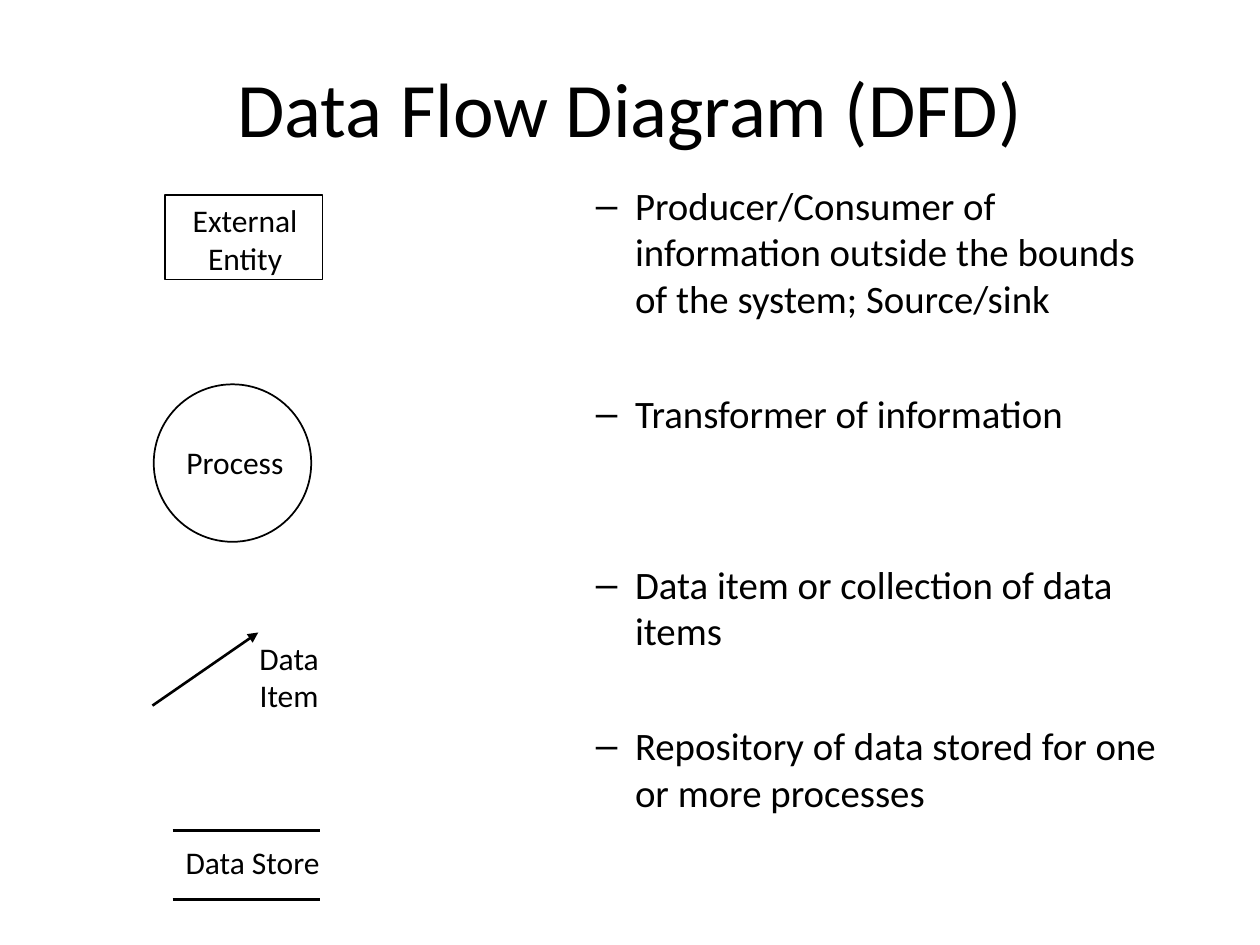
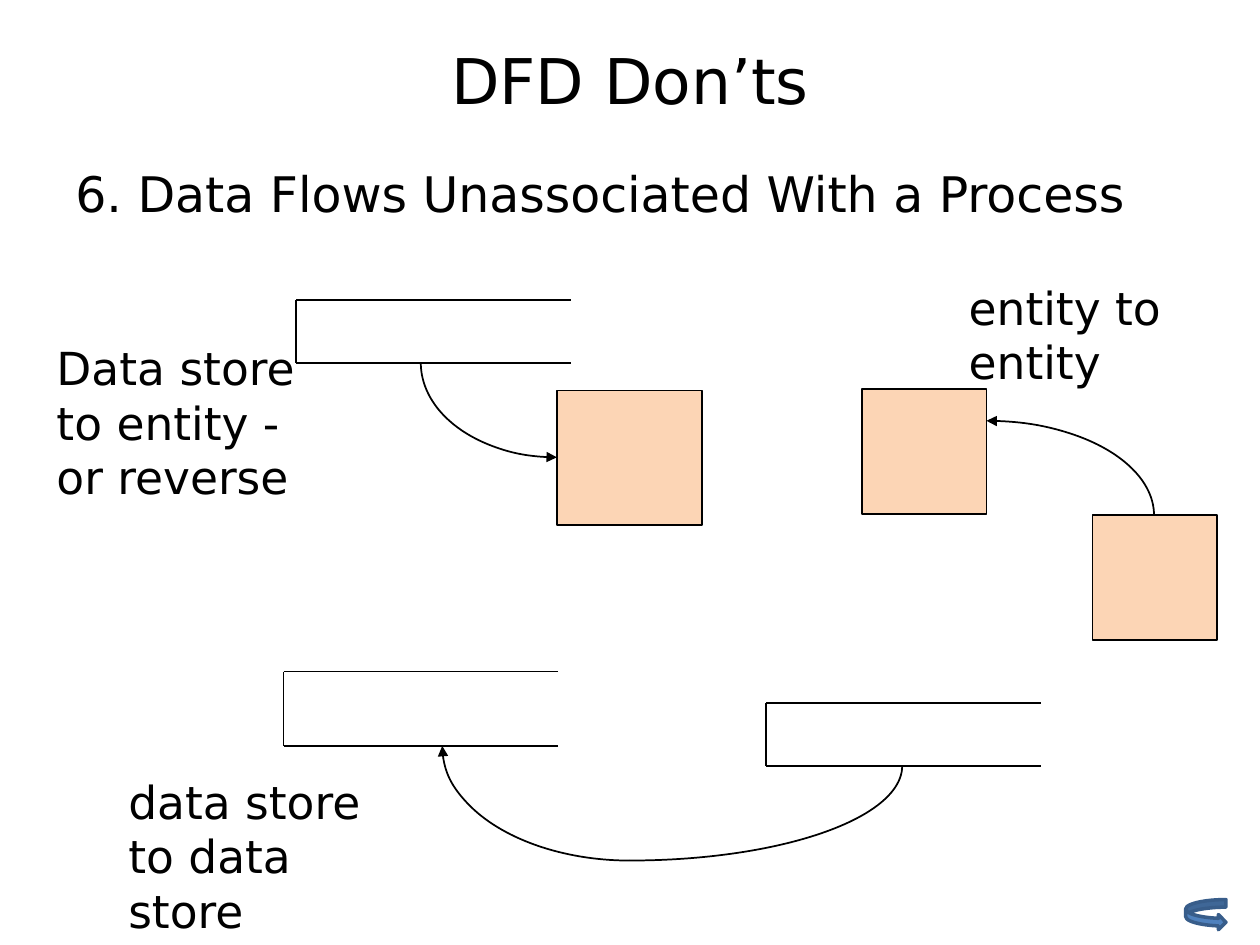
import pptx
import pptx.util
import pptx.dml.color
import pptx.enum.shapes
import pptx.enum.text
import pptx.oxml.ns
import lxml.etree

Inches = pptx.util.Inches
Pt = pptx.util.Pt
Shape = pptx.enum.shapes.MSO_SHAPE
Align = pptx.enum.text.PP_ALIGN
Anchor = pptx.enum.text.MSO_ANCHOR
qn = pptx.oxml.ns.qn

INK = "000000"
PEACH = "FCD5B5"


def color(code):
    return pptx.dml.color.RGBColor.from_string(code)


def add_tag(parent, tag, **attrs):
    return lxml.etree.SubElement(parent, qn(tag), **attrs)


class Deck:
    def __init__(self):
        self.file = pptx.Presentation()
        self.file.slide_width = Inches(10)
        self.file.slide_height = Inches(7.5)
        self.slide = None
        self.font = None

    def start(self, layout, font):
        self.slide = self.file.slides.add_slide(self.file.slide_layouts[layout])
        self.font = font

    def place(self, item, left, top, width, height):
        item.left, item.top = Inches(left), Inches(top)
        item.width, item.height = Inches(width), Inches(height)

    def style(self, para, size, align):
        para.alignment = align
        for run in para.runs:
            run.font.name = self.font
            run.font.size = Pt(size)
            run.font.color.rgb = color(INK)

    def title(self, text, size, *box):
        item = self.slide.shapes.title
        self.place(item, *box)
        frame = item.text_frame
        frame.text = text
        frame.vertical_anchor = Anchor.MIDDLE
        self.style(frame.paragraphs[0], size, Align.CENTER)

    def bullets(self, items, size, *box):
        body = self.slide.placeholders[1]
        self.place(body, *box)
        frame = body.text_frame
        frame.auto_size = pptx.enum.text.MSO_AUTO_SIZE.NONE
        frame.text = "\n".join(text for text, gap in items)
        for para, (text, gap) in zip(frame.paragraphs, items):
            para.level = 1
            props = para._p.get_or_add_pPr()
            props.set("marL", str(Inches(0.81)))
            props.set("indent", str(Inches(-0.31)))
            tint = add_tag(props, "a:buClr")
            add_tag(tint, "a:srgbClr", val=INK)
            add_tag(props, "a:buChar", char="–")
            para.space_before = Pt(gap)
            self.style(para, size, Align.LEFT)

    def text(self, text, size, *box, align=Align.LEFT, wrap=True):
        item = self.slide.shapes.add_textbox(*map(Inches, box))
        frame = item.text_frame
        frame.word_wrap = wrap
        frame.text = text
        for para in frame.paragraphs:
            self.style(para, size, align)

    def label(self, text, *box):
        self.text(text, 18, *box, align=Align.CENTER, wrap=False)

    def ends(self, line, head, tail):
        edge = line._get_or_add_ln()
        if head:
            add_tag(edge, "a:headEnd", type="triangle")
        if tail:
            add_tag(edge, "a:tailEnd", type="triangle")

    def shape(self, kind, *box, fill=None, ink=INK, weight=1):
        item = self.slide.shapes.add_shape(kind, *map(Inches, box))
        item.shadow.inherit = False
        if fill:
            item.fill.solid()
            item.fill.fore_color.rgb = color(fill)
        else:
            item.fill.background()
        item.line.color.rgb = color(ink)
        item.line.width = Pt(weight)
        return item

    def arc(self, x, y, wide, high, start, head=False, tail=False):
        item = self.shape(Shape.ARC, x - wide, y - high, 2 * wide, 2 * high)
        for i, angle in enumerate((start, (start + 90) % 360)):
            item.adjustments[i] = angle * 0.6
        self.ends(item.line, head, tail)

    def line(self, *points, weight=1, tail=False):
        kind = pptx.enum.shapes.MSO_CONNECTOR.STRAIGHT
        item = self.slide.shapes.add_connector(kind, *map(Inches, points))
        item.line.color.rgb = color(INK)
        item.line.width = Pt(weight)
        self.ends(item.line, False, tail)
        add_tag(item._element.spPr, "a:effectLst")

    def store(self, left, top, height):
        for y in (top, top + height):
            self.line(left + 2.18, y, left, y)
        self.line(left, top, left, top + height)


def symbols(deck):
    deck.start(1, "Calibri")
    deck.title("Data Flow Diagram (DFD)", 44, 0.5, 0.3, 9, 1.09)

    deck.shape(Shape.RECTANGLE, 1.31, 1.55, 1.25, 0.67)
    deck.label("External\nEntity", 1.4, 1.55, 1.09, 0.7)

    deck.shape(Shape.OVAL, 1.22, 3.05, 1.25, 1.25)
    deck.label("Process", 1.38, 3.47, 0.97, 0.4)

    deck.line(1.21, 5.6, 2.05, 5.02, weight=1.5, tail=True)
    deck.label("Data\nItem", 1.96, 5.02, 0.67, 0.7)

    for y in (6.59, 7.14):
        deck.line(1.37, y, 2.54, y, weight=1.5)
    deck.label("Data Store", 1.37, 6.64, 1.27, 0.4)

    items = [
        ("Producer/Consumer of information outside the bounds "
         "of the system; Source/sink", 0),
        ("Transformer of information", 39),
        ("Data item or collection of data items", 71),
        ("Repository of data stored for one or more processes", 39),
    ]
    deck.bullets(items, 22.2, 4.13, 1.39, 5.2, 5.75)


def donts(deck):
    deck.start(5, "DejaVu Sans")
    deck.title("DFD Don’ts", 36, 0.75, 0.17, 8.5, 0.92)
    deck.text("6. Data Flows Unassociated With a Process", 28,
              0.5, 1.25, 9.5, 0.56)

    for left, top, height in ((2.35, 2.38, 0.5), (2.25, 5.33, 0.59),
                              (6.08, 5.58, 0.5)):
        deck.store(left, top, height)
    for box in ((4.42, 3.1, 1.15, 1.07), (6.84, 3.09, 0.99, 0.99),
                (8.67, 4.09, 0.99, 0.99)):
        deck.shape(Shape.RECTANGLE, *box, fill=PEACH)

    deck.arc(4.42, 2.88, 1.08, 0.75, 90, head=True)
    deck.arc(5, 6.08, 2.16, 0.75, 0)
    deck.arc(5, 5.92, 1.49, 0.91, 90, tail=True)
    deck.arc(7.83, 4.09, 1.33, 0.75, 270, head=True)

    for text, left, top, height in (
            ("entity to entity", 7.59, 2.17, 0.96),
            ("Data store to entity - or reverse", 0.35, 2.65, 1.4),
            ("data store to data store", 0.92, 6.09, 1.4)):
        deck.text(text, 26, left, top, 2.33, height)

    deck.shape(Shape.CURVED_RIGHT_ARROW, 9.41, 7.14, 0.32, 0.24,
               fill="4F81BD", ink="385D8A", weight=2)


def main():
    deck = Deck()
    symbols(deck)
    donts(deck)
    deck.file.save("out.pptx")


if __name__ == "__main__":
    main()
